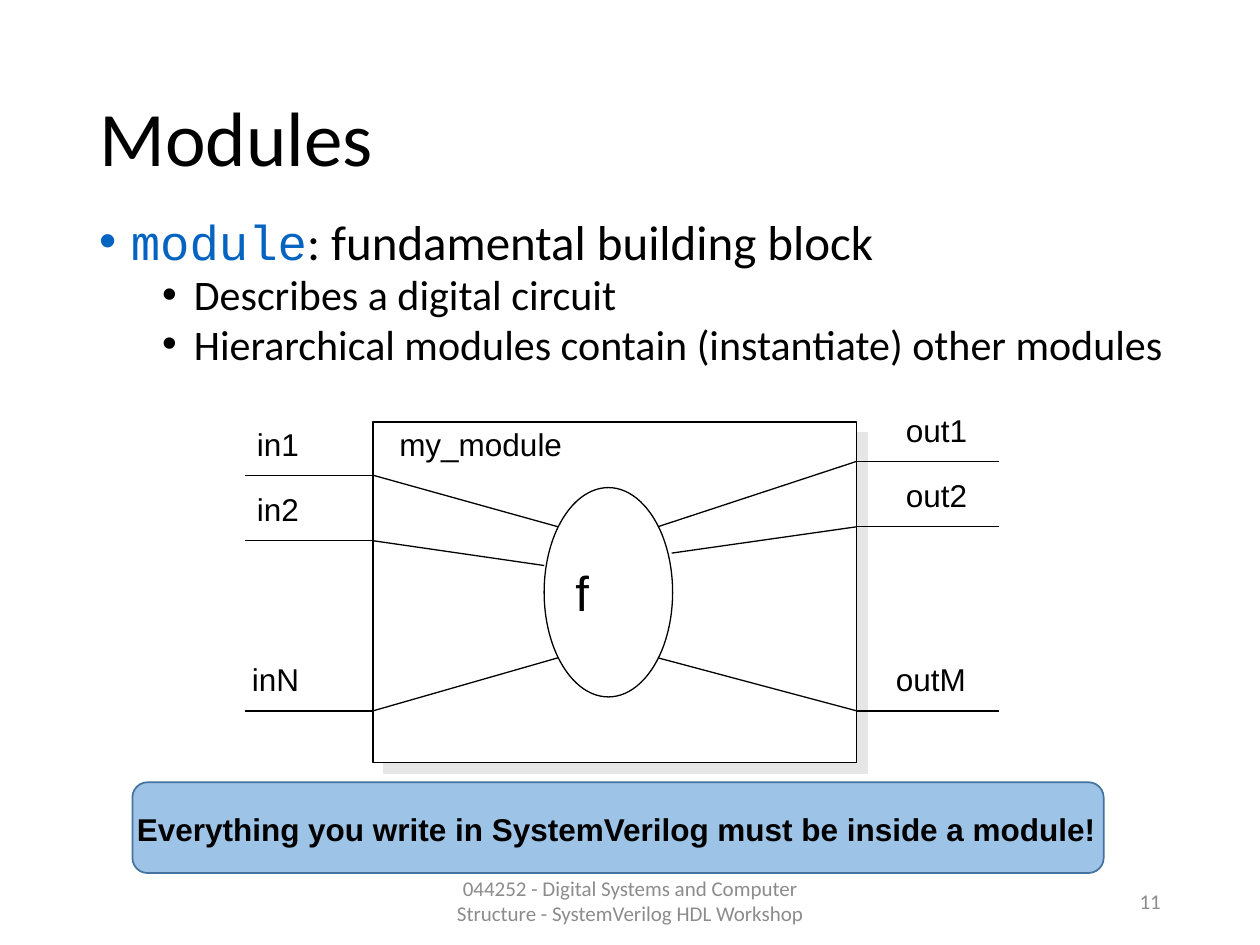
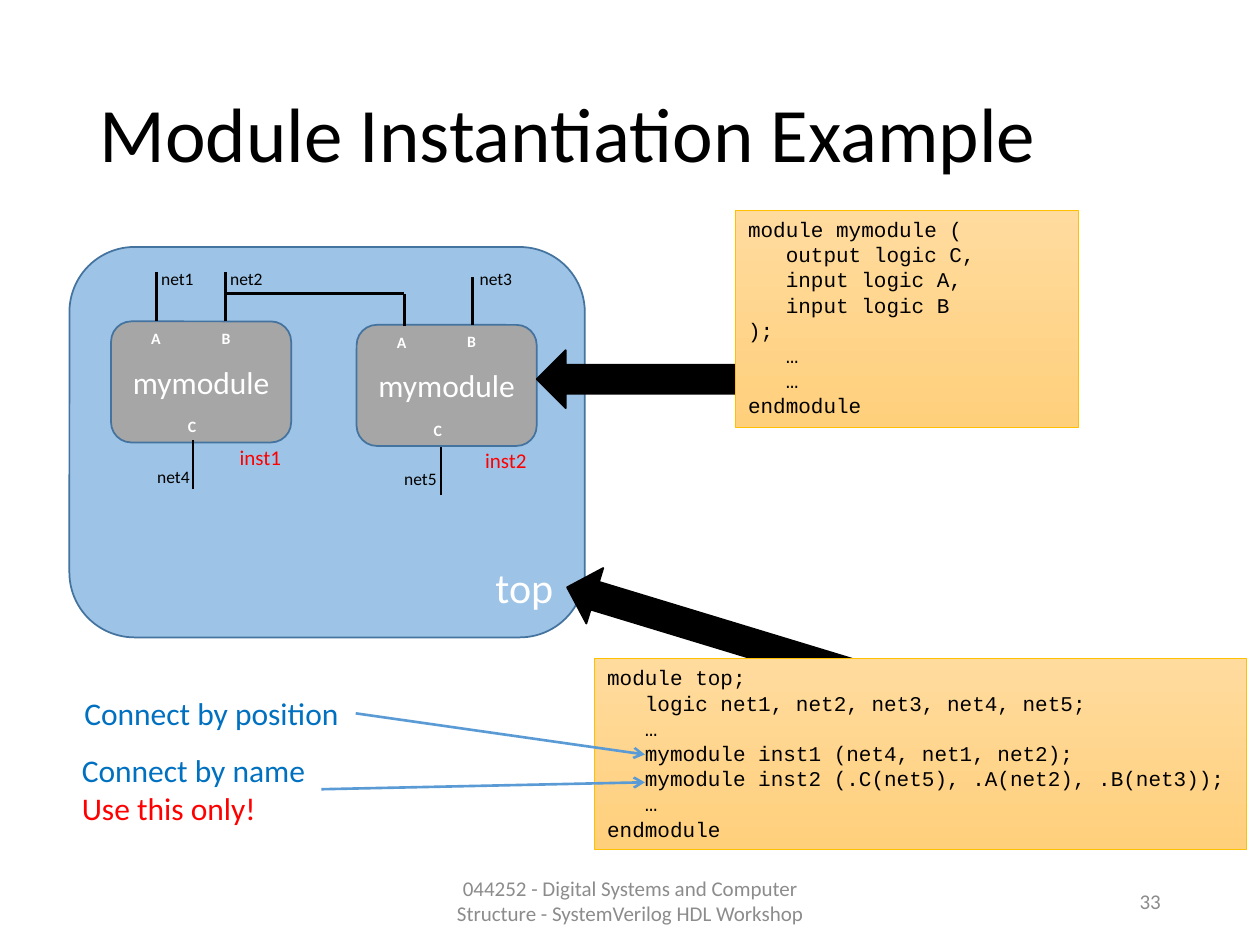
from lxml import etree
from pptx import Presentation
from pptx.dml.color import RGBColor
from pptx.enum.shapes import MSO_CONNECTOR, MSO_SHAPE
from pptx.enum.text import MSO_ANCHOR, PP_ALIGN
from pptx.oxml.ns import qn
from pptx.util import Cm, Pt

LINE = MSO_CONNECTOR.STRAIGHT
RECT, ROUND = MSO_SHAPE.RECTANGLE, MSO_SHAPE.ROUNDED_RECTANGLE
OVAL, ARROW = MSO_SHAPE.OVAL, MSO_SHAPE.LEFT_ARROW
TOP, MID, LOW = MSO_ANCHOR.TOP, MSO_ANCHOR.MIDDLE, MSO_ANCHOR.BOTTOM
LEFT, CENTER, RIGHT = PP_ALIGN.LEFT, PP_ALIGN.CENTER, PP_ALIGN.RIGHT

BLACK = RGBColor(0, 0, 0)
WHITE = RGBColor(0xFF, 0xFF, 0xFF)
RED = RGBColor(0xFF, 0, 0)
GRAY = RGBColor(0x8C, 0x8C, 0x8C)
BLOCK = RGBColor(0xA6, 0xA6, 0xA6)
SKY = RGBColor(0x9D, 0xC3, 0xE6)
EDGE = RGBColor(0x43, 0x73, 0x9E)
LINK = RGBColor(0x05, 0x63, 0xC1)
NOTE = RGBColor(0x00, 0x70, 0xC0)
POINT = RGBColor(0x5B, 0x9B, 0xD5)
SAND = RGBColor(0xFF, 0xDB, 0x9E)
AMBER = RGBColor(0xFF, 0xD0, 0x7C)
GOLD = RGBColor(0xFF, 0xC0, 0)


def put(slide, text, box, kind=None, fill=None, edge=BLACK, width=1, font="Calibri",
        size=18, color=BLACK, bold=False, align=LEFT, anchor=TOP, wrap=True):
    area = [Cm(v) for v in box]
    if kind is None:
        shape = slide.shapes.add_textbox(*area)
    else:
        shape = slide.shapes.add_shape(kind, *area)
        shape.shadow.inherit = False
        shape.line.color.rgb = edge
        shape.line.width = Pt(width)
        if fill is not None:
            shape.fill.solid()
            shape.fill.fore_color.rgb = fill
    frame = shape.text_frame
    frame.word_wrap = wrap
    frame.vertical_anchor = anchor
    frame.text = text
    for para in frame.paragraphs:
        para.alignment = align
        for run in para.runs:
            run.font.name = font
            run.font.size = Pt(size)
            run.font.bold = bold
            run.font.color.rgb = color
    return shape


def join(slide, start, end, color=BLACK, width=1.5, head=False):
    line = slide.shapes.add_connector(LINE, *[Cm(v) for v in start + end])
    line.line.color.rgb = color
    line.line.width = Pt(width)
    if head:
        etree.SubElement(line.line._get_or_add_ln(), qn("a:tailEnd"), type="arrow")
    etree.SubElement(line._element.spPr, qn("a:effectLst"))
    return line


deck = Presentation()
deck.slide_width, deck.slide_height = Cm(25.4), Cm(19.05)
pages = []
for name, top, number in [("Modules", 1.02, "11"),
                          ("Module Instantiation Example", 0.94, "33")]:
    page = deck.slides.add_slide(deck.slide_layouts[5])
    title = page.shapes.title
    title.left, title.top, title.width, title.height = Cm(1.75), Cm(top), Cm(21.9), Cm(3.68)
    title.text_frame.text = name
    title.text_frame.vertical_anchor = MID
    para = title.text_frame.paragraphs[0]
    para.alignment = LEFT
    para.line_spacing = 0.9
    para.font.name = "Calibri"
    para.font.size = Pt(44)
    para.font.color.rgb = BLACK
    put(page, "044252 - Digital Systems and Computer Structure - SystemVerilog HDL Workshop",
        (8.41, 17.65, 8.59, 1.02), size=12, color=GRAY, align=CENTER, anchor=MID)
    put(page, number, (17.93, 17.65, 5.72, 1.02), size=12, color=GRAY, align=RIGHT, anchor=MID)
    pages.append(page)
first, second = pages

body = put(first, "module\nDescribes a digital circuit\n"
           "Hierarchical modules contain (instantiate) other modules",
           (1.75, 4.37, 22.56, 4), size=24)
for i, para in enumerate(body.text_frame.paragraphs):
    props = para._p.get_or_add_pPr()
    props.set("marL", str(Cm(1.91 if i else 0.64)))
    props.set("indent", str(Cm(-0.64)))
    etree.SubElement(props, qn("a:buFont"), typeface="Arial")
    etree.SubElement(props, qn("a:buChar"), char="•")
    para.line_spacing = 0.8
    if i:
        para.level = 1
        para.space_before = Pt(5)
lead = body.text_frame.paragraphs[0]
word, rest = lead.runs[0], lead.add_run()
rest.text = ": fundamental building block"
for run, font, color in [(word, "Courier New", LINK), (rest, "Calibri", BLACK)]:
    run.font.name = font
    run.font.size = Pt(28)
    run.font.color.rgb = color

frame = put(first, "", (7.52, 8.51, 9.75, 6.86), RECT, WHITE, width=0.75)
cast = etree.SubElement(frame._element.spPr.find(qn("a:effectLst")), qn("a:outerShdw"),
                        dist=str(Pt(8.5)), dir="2700000", algn="ctr", rotWithShape="0")
etree.SubElement(cast, qn("a:srgbClr"), val="E7E6E6")
put(first, "f", (10.97, 9.83, 2.59, 4.22), OVAL, WHITE, width=0.75,
    font="Arial", size=28, anchor=MID)

pins = [
    ("in1", 4.93, 1.9, 4.93, 7.52, 9.58, (11.25, 10.62)),
    ("in2", 4.93, 1.9, 4.93, 7.52, 10.9, (10.97, 11.4)),
    ("inN", 4.83, 2.13, 4.93, 7.52, 14.33, (11.25, 13.26)),
    ("out1", 18.01, 2.39, 20.14, 17.27, 9.3, (13.26, 10.62)),
    ("out2", 18.01, 2.39, 20.14, 17.27, 10.62, (13.54, 11.15)),
    ("outM", 17.81, 2.77, 20.14, 17.27, 14.33, (13.26, 13.26)),
]
for name, left, wide, far, near, y, end in pins:
    join(first, (far, y), (near, y), width=0.75)
    join(first, (near, y), end, width=0.75)
    put(first, name, (left, y - 1.32, wide, 1.37), font="Arial", anchor=MID)
put(first, "my_module", (7.8, 8.26, 5.26, 1.37), font="Arial", anchor=MID)
put(first, "", (2.67, 15.77, 19.58, 1.83), ROUND, SKY, EDGE)
put(first, "Everything you write in SystemVerilog must be inside a module!",
    (2.51, 16.21, 20.04, 1.02), font="Arial", bold=True, anchor=MID)

put(second, "top", (1.4, 4.98, 10.39, 7.87), ROUND, SKY, EDGE,
    size=24, color=WHITE, align=RIGHT, anchor=LOW)
for name, x, y in [("inst1", 2.24, 6.48), ("inst2", 7.19, 6.55)]:
    put(second, "mymodule", (x, y, 3.63, 2.44), ROUND, BLOCK, EDGE,
        color=WHITE, align=CENTER, anchor=MID)
    for port, dx, dy in [("A", 0.56, 0.03), ("B", 1.98, 0.02), ("C", 1.3, 1.8)]:
        put(second, port, (x + dx, y + dy, 0.71, 0.64),
            size=9, color=WHITE, bold=True, wrap=False)
    put(second, name, (x + 2.34, y + 2.35, 1.35, 0.76), size=12, color=RED, wrap=False)

for x, low, high in [(3.15, 6.48, 5.49), (4.55, 6.48, 5.49), (8.15, 6.58, 5.92),
                     (9.53, 6.55, 5.59), (3.89, 9.86, 8.86), (8.89, 9.98, 9.02)]:
    join(second, (x, low), (x, high))
join(second, (8.15, 5.92), (4.55, 5.92))
for name, x, y in [("net1", 3, 5.28), ("net2", 4.39, 5.28), ("net3", 9.42, 5.28),
                   ("net4", 2.92, 9.27), ("net5", 7.9, 9.32)]:
    put(second, name, (x, y, 1.17, 0.69), size=10, wrap=False)

put(second, "", (10.82, 7.06, 4.01, 1.17), ARROW, BLACK)
tilt = put(second, "", (11.28, 12.27, 6.98, 1.17), ARROW, BLACK)
tilt.rotation = 16.9

inner = """module mymodule (
   output logic C,
   input logic A,
   input logic B
);
   …
   …
endmodule"""
outer = """module top;
   logic net1, net2, net3, net4, net5;
   …
   mymodule inst1 (net4, net1, net2);
   mymodule inst2 (.C(net5), .A(net2), .B(net3));
   …
endmodule"""
for code, box in [(inner, (14.83, 4.24, 6.91, 4.37)), (outer, (11.99, 13.28, 13.13, 3.84))]:
    card = put(second, code, box, RECT, edge=GOLD, width=0.5, font="Courier New", size=12)
    card.fill.gradient()
    card.fill.gradient_angle = 270
    for stop, color in zip(card.fill.gradient_stops, (SAND, AMBER)):
        stop.color.rgb = color

for text, box, start, end in [
    ("Connect by name\nUse this only!", (1.4, 15.01, 5.08, 1.8), (6.48, 15.91), (13, 15.77)),
    ("Connect by position", (1.45, 13.87, 5.72, 1.02), (7.17, 14.38), (13, 15.21)),
]:
    note = put(second, text, box, color=NOTE, wrap=False)
    for para in note.text_frame.paragraphs[1:]:
        para.runs[0].font.color.rgb = RED
    line = join(second, start, end, POINT, head=True)
    line.begin_connect(note, 3)

deck.save("out.pptx")
